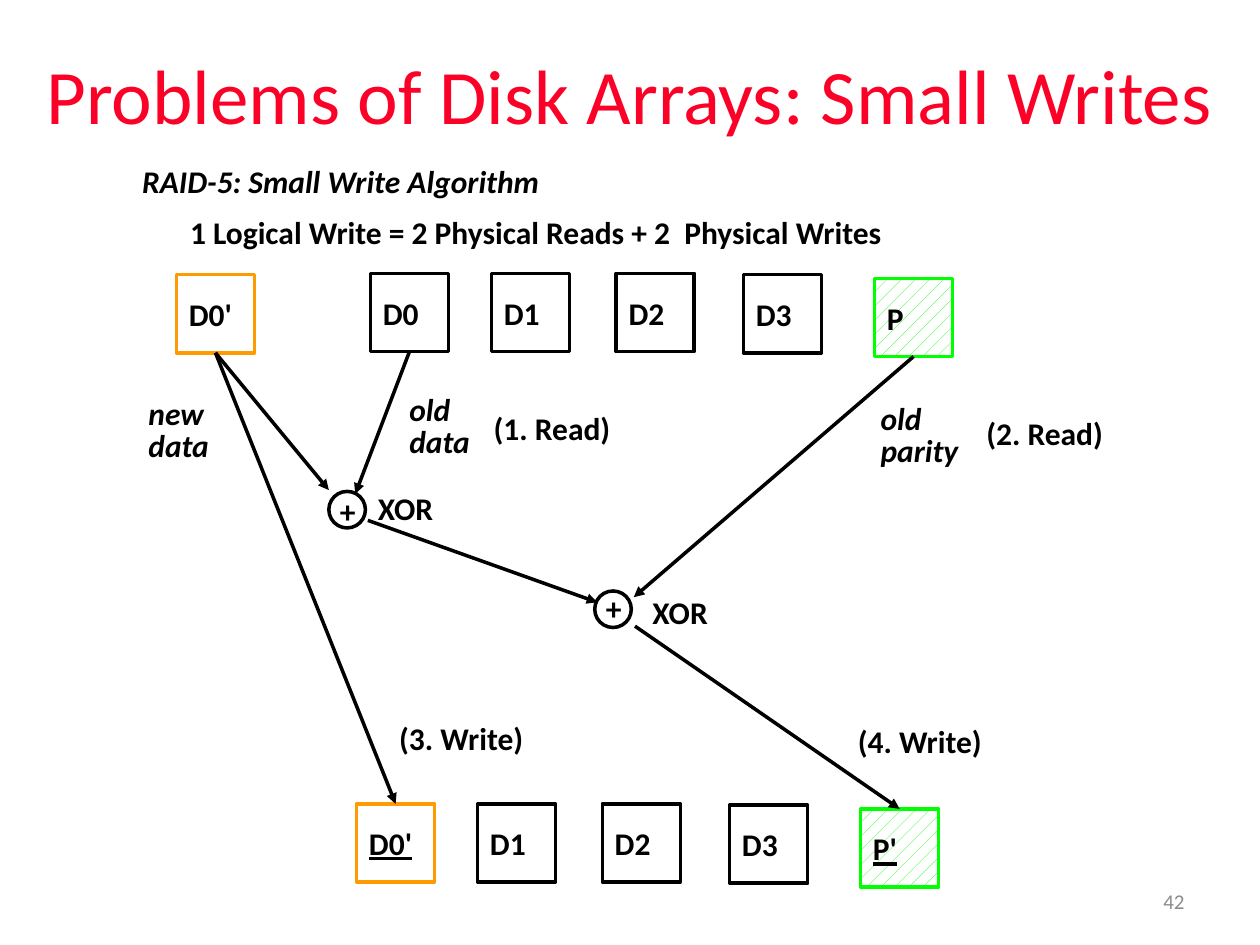
import pptx
import pptx.util
import pptx.dml.color
import pptx.enum.dml
import pptx.enum.shapes
import pptx.enum.text
import pptx.oxml.ns
import lxml.etree

Inches = pptx.util.Inches
Pt = pptx.util.Pt
Shape = pptx.enum.shapes.MSO_SHAPE
Align = pptx.enum.text.PP_ALIGN
Anchor = pptx.enum.text.MSO_ANCHOR
Fit = pptx.enum.text.MSO_AUTO_SIZE


class Theme:
    font = "Calibri"
    black = pptx.dml.color.RGBColor.from_string("000000")
    white = pptx.dml.color.RGBColor.from_string("FFFFFF")
    red = pptx.dml.color.RGBColor.from_string("FC0128")
    orange = pptx.dml.color.RGBColor.from_string("FE9B03")
    green = pptx.dml.color.RGBColor.from_string("00FF00")
    gray = pptx.dml.color.RGBColor.from_string("8C8C8C")
    head = Pt(44)
    body = Pt(18)
    small = Pt(12)
    line = Pt(2)


def write(frame, lines, size=Theme.body, color=Theme.black, bold=True,
          slant=False, under=False, align=Align.LEFT, gap=None):
    for i, line in enumerate(lines):
        para = frame.paragraphs[0] if i == 0 else frame.add_paragraph()
        para.alignment = align
        para.line_spacing = gap
        run = para.add_run()
        run.text = line
        font = run.font
        font.name, font.size, font.bold = Theme.font, size, bold
        font.italic, font.underline = slant, under
        font.color.rgb = color


def label(x, y, w, h, lines, slant=False):
    frame = slide.shapes.add_textbox(Inches(x), Inches(y), Inches(w), Inches(h)).text_frame
    frame.word_wrap = False
    frame.auto_size = Fit.SHAPE_TO_FIT_TEXT
    write(frame, lines, slant=slant, gap=0.85)


deck = pptx.Presentation()
deck.slide_width, deck.slide_height = Inches(10), Inches(7.5)
slide = deck.slides.add_slide(deck.slide_layouts[6])

# Title and page number
for x, y, w, h, text, size, color, align in [
    (0, 0.12, 10, 1.25, "Problems of Disk Arrays: Small Writes",
     Theme.head, Theme.red, Align.CENTER),
    (7.17, 6.95, 2.33, 0.4, "42", Theme.small, Theme.gray, Align.RIGHT),
]:
    frame = slide.shapes.add_textbox(Inches(x), Inches(y), Inches(w), Inches(h)).text_frame
    frame.word_wrap = True
    frame.vertical_anchor = Anchor.MIDDLE
    write(frame, [text], size, color, bold=False, align=align)

# Disk blocks: the lower row is the upper one, shifted
side = 0.62
shift, drop = -0.11, 4.21
row = [(2.94, 2.17, "D0"), (3.9, 2.17, "D1"), (4.89, 2.17, "D2"),
       (5.9, 2.18, "D3"), (6.94, 2.21, "P")]
fresh = {"D0": "D0'", "P": "P'"}
disks = [(x, y, name, False) for x, y, name in row]
disks.append((1.4, 2.18, "D0'", False))
disks += [(x + shift, y + drop, fresh.get(name, name), name in fresh)
          for x, y, name in row]
blocks = {}
for x, y, name, under in disks:
    block = slide.shapes.add_shape(Shape.RECTANGLE, Inches(x), Inches(y),
                                   Inches(side), Inches(side))
    block.shadow.inherit = False
    block.line.width = Theme.line
    block.line.color.rgb = {"D0'": Theme.orange, "P": Theme.green,
                            "P'": Theme.green}.get(name, Theme.black)
    if name.startswith("P"):
        block.fill.patterned()
        block.fill.pattern = pptx.enum.dml.MSO_PATTERN.PERCENT_10
        block.fill.fore_color.rgb = Theme.green
        block.fill.back_color.rgb = Theme.white
    else:
        block.fill.background()
    block.text_frame.word_wrap = False
    block.text_frame.vertical_anchor = Anchor.MIDDLE
    write(block.text_frame, [name], under=under)
    blocks[name, under] = block

# XOR nodes
for x, y, rise in [(2.61, 3.9, 0), (4.72, 4.69, 0.02)]:
    node = slide.shapes.add_shape(Shape.OVAL, Inches(x), Inches(y),
                                  Inches(0.29), Inches(0.29))
    node.shadow.inherit = False
    node.fill.solid()
    node.fill.fore_color.rgb = Theme.white
    node.line.color.rgb = Theme.black
    node.line.width = Theme.line
    label(x - 0.01, y - rise, 0.33, 0.36, ["+"])

# Arrows, joined to the blocks they leave or reach
new, old, parity = blocks["D0'", False], blocks["D0", False], blocks["P", False]
for start, end, source, target in [
    ((1.71, 2.8), (2.61, 3.89), new, None),
    ((3.25, 2.79), (2.82, 3.92), old, None),
    ((2.92, 4.13), (4.74, 4.78), None, None),
    ((7.25, 2.83), (5.03, 4.74), parity, None),
    ((5.04, 4.97), (7.14, 6.42), None, blocks["P'", True]),
    ((1.71, 2.8), (3.14, 6.38), new, blocks["D0'", True]),
]:
    arrow = slide.shapes.add_connector(pptx.enum.shapes.MSO_CONNECTOR.STRAIGHT,
                                       *map(Inches, start + end))
    if source:
        arrow.begin_connect(source, 2)
    if target:
        arrow.end_connect(target, 0)
    arrow.line.color.rgb = Theme.black
    arrow.line.width = Theme.line
    tip = lxml.etree.SubElement(arrow.line._get_or_add_ln(), pptx.oxml.ns.qn("a:tailEnd"))
    tip.set("type", "triangle")
    lxml.etree.SubElement(arrow._element.spPr, pptx.oxml.ns.qn("a:effectLst"))

# Headings and data labels
label(1.03, 1.28, 3.45, 0.36, ["RAID-5: Small Write Algorithm"], slant=True)
label(1.41, 1.69, 5.75, 0.36, ["1 Logical Write = 2 Physical Reads + 2  Physical Writes"])
for x, y, w, lines in [(1.08, 3.12, 0.75, ["new", "data"]),
                       (3.15, 3.09, 0.75, ["old", "data"]),
                       (6.89, 3.16, 0.89, ["old", "parity"])]:
    label(x, y, w, 0.62, lines, slant=True)

# Step labels
for x, y, w, text in [(2.9, 3.88, 0.64, "XOR"), (5.08, 4.7, 0.64, "XOR"),
                      (3.82, 3.24, 1.14, "(1. Read)"), (7.73, 3.28, 1.14, "(2. Read)"),
                      (3.07, 5.7, 1.19, "(3. Write)"), (6.71, 5.73, 1.19, "(4. Write)")]:
    label(x, y, w, 0.36, [text])

deck.save("out.pptx")
